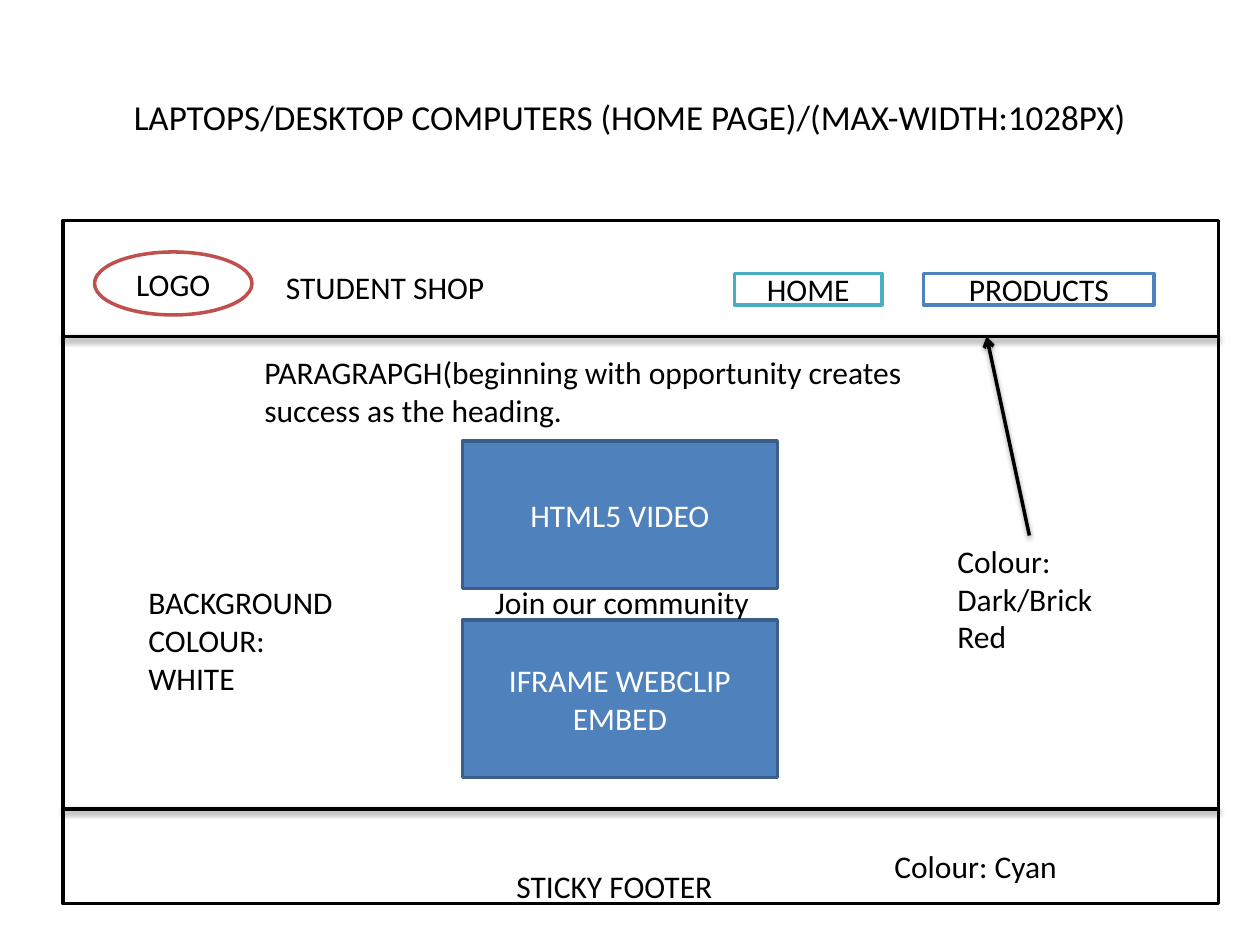
import pptx
import pptx.dml.color
import pptx.enum.shapes
import pptx.enum.text
import pptx.oxml
import pptx.oxml.ns
import pptx.util
from pptx.util import Inches

RGBColor = pptx.dml.color.RGBColor
BLACK = RGBColor(0x00, 0x00, 0x00)
WHITE = RGBColor(0xFF, 0xFF, 0xFF)
BLUE = RGBColor(0x4F, 0x81, 0xBD)
DARK_BLUE = RGBColor(0x3A, 0x5F, 0x8C)
TEAL = RGBColor(0x4B, 0xAC, 0xC6)
RED = RGBColor(0xC0, 0x50, 0x4D)

SHAPE = pptx.enum.shapes.MSO_SHAPE
ALIGN = pptx.enum.text.PP_ALIGN
ANCHOR = pptx.enum.text.MSO_ANCHOR
AUTO_SIZE = pptx.enum.text.MSO_AUTO_SIZE

FRAME_LEFT, FRAME_TOP, FRAME_WIDTH, FRAME_HEIGHT = 0.5, 1.75, 9.17, 5.42
HEADER_BOTTOM, FOOTER_TOP = 2.67, 6.42
VIDEO_LEFT, VIDEO_WIDTH = 3.67, 2.5

SHADOW = (
    f'<a:effectLst {pptx.oxml.ns.nsdecls("a")}>'
    '<a:outerShdw blurRad="40000" dist="20000" dir="5400000" rotWithShape="0">'
    '<a:srgbClr val="000000"><a:alpha val="38000"/></a:srgbClr>'
    "</a:outerShdw></a:effectLst>"
)
ARROWHEAD = f'<a:tailEnd {pptx.oxml.ns.nsdecls("a")} type="arrow"/>'


def set_all(target, formats):
    for name, value in formats.items():
        setattr(target, name, value)


def write_text(box, text, color=BLACK, size=18, align=ALIGN.LEFT, **frame_formats):
    set_all(box.text_frame, {"word_wrap": True, **frame_formats})
    para = box.text_frame.paragraphs[0]
    para.alignment = align
    span = para.add_run()
    span.text = text
    set_all(span.font, {"name": "Calibri", "size": pptx.util.Pt(size)})
    span.font.color.rgb = color


def add_outlined(page, bounds, line, text="", kind=SHAPE.RECTANGLE, fill=WHITE, color=BLACK):
    """Add a filled, outlined shape, with a centred caption if text is given."""
    box = page.shapes.add_shape(kind, *map(Inches, bounds))
    box.shadow.inherit = False
    box.fill.solid()
    box.fill.fore_color.rgb = fill
    box.line.color.rgb = line
    box.line.width = pptx.util.Pt(2)
    if text:
        write_text(box, text, color, align=ALIGN.CENTER, vertical_anchor=ANCHOR.MIDDLE)


def add_label(page, bounds, text):
    box = page.shapes.add_textbox(*map(Inches, bounds))
    write_text(box, text, auto_size=AUTO_SIZE.SHAPE_TO_FIT_TEXT)


def add_title(page, text):
    box = page.shapes.add_textbox(*map(Inches, (0.5, 0.3, 9, 1.25)))
    write_text(box, text, size=20, align=ALIGN.CENTER, vertical_anchor=ANCHOR.MIDDLE)


def add_line(page, start, end, arrow=False):
    """Add a black line with a soft shadow below it."""
    line = page.shapes.add_connector(
        pptx.enum.shapes.MSO_CONNECTOR.STRAIGHT, *map(Inches, start + end)
    )
    line.line.color.rgb = BLACK
    line.line.width = pptx.util.Pt(2)
    if arrow:
        line.line._get_or_add_ln().append(pptx.oxml.parse_xml(ARROWHEAD))
    line._element.spPr.append(pptx.oxml.parse_xml(SHADOW))


def add_divider(page, y):
    add_line(page, (FRAME_LEFT, y), (FRAME_LEFT + FRAME_WIDTH, y))


def main():
    deck = pptx.Presentation()
    set_all(deck, {"slide_width": Inches(10), "slide_height": Inches(7.5)})
    page = deck.slides.add_slide(deck.slide_layouts[6])

    add_title(page, "LAPTOPS/DESKTOP COMPUTERS (HOME PAGE)/(MAX-WIDTH:1028PX)")
    add_outlined(page, (FRAME_LEFT, FRAME_TOP, FRAME_WIDTH, FRAME_HEIGHT), BLACK)
    add_divider(page, HEADER_BOTTOM)

    add_outlined(page, (5.83, 2.17, 1.17, 0.25), TEAL, "HOME")
    add_outlined(page, (7.33, 2.17, 1.83, 0.25), BLUE, "PRODUCTS")
    add_outlined(page, (0.75, 2, 1.25, 0.5), RED, "LOGO", SHAPE.OVAL)

    for top, height, text in (
        (3.5, 1.17, "HTML5 VIDEO"),
        (4.92, 1.25, "IFRAME WEBCLIP EMBED"),
    ):
        bounds = (VIDEO_LEFT, top, VIDEO_WIDTH, height)
        add_outlined(page, bounds, DARK_BLUE, text, fill=BLUE, color=WHITE)

    add_divider(page, FOOTER_TOP)

    for bounds, text in (
        ((2.17, 2.08, 3.17, 0.71), "STUDENT SHOP"),
        ((4, 6.83, 3.33, 0.4), "STICKY FOOTER"),
        (
            (2, 2.75, 5.75, 1.01),
            "PARAGRAPGH(beginning with opportunity creates success as the heading.",
        ),
        ((7, 6.67, 2.17, 0.4), "Colour: Cyan"),
        ((7.5, 4.25, 1.67, 1.31), "Colour: Dark/Brick Red"),
        ((3.83, 4.58, 2.25, 0.71), "Join our community"),
        ((1.08, 4.58, 1.75, 1.31), "BACKGROUND COLOUR: WHITE"),
    ):
        add_label(page, bounds, text)

    add_line(page, (8.17, 4.25), (7.83, HEADER_BOTTOM), arrow=True)
    deck.save("out.pptx")


if __name__ == "__main__":
    main()
